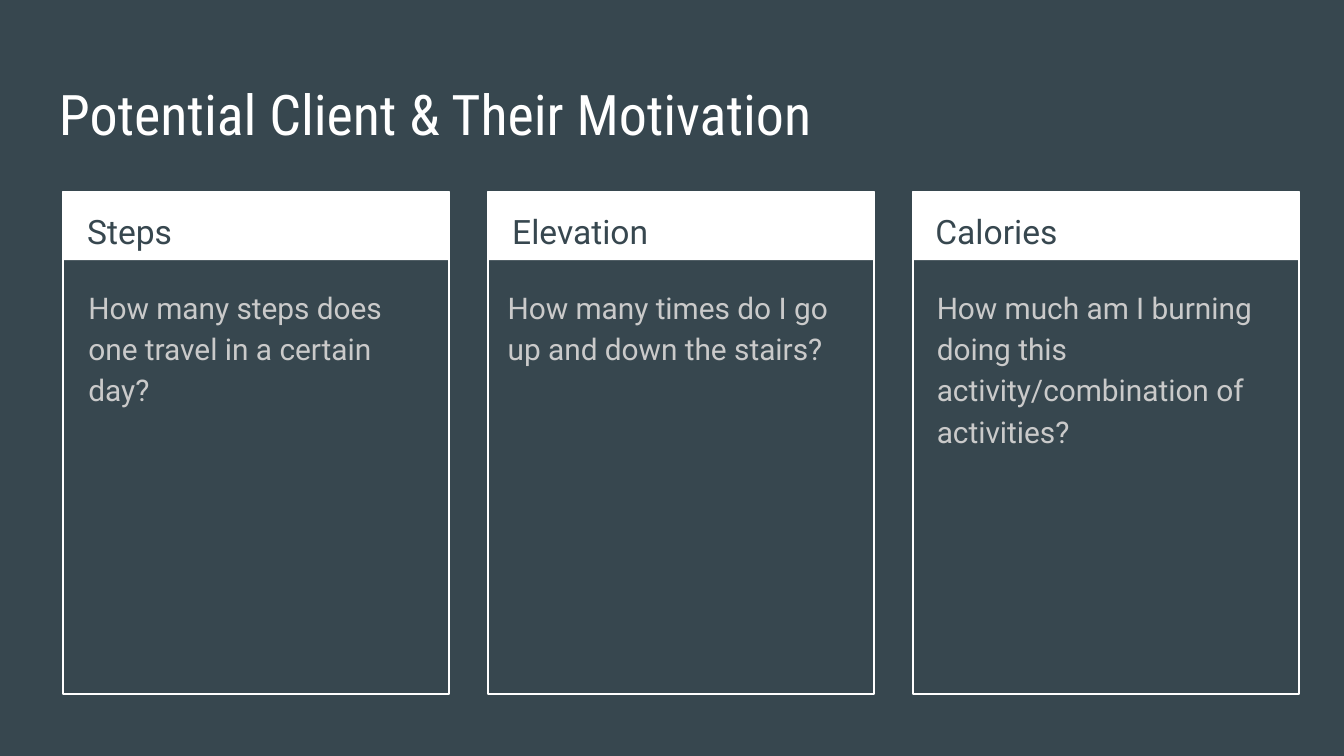
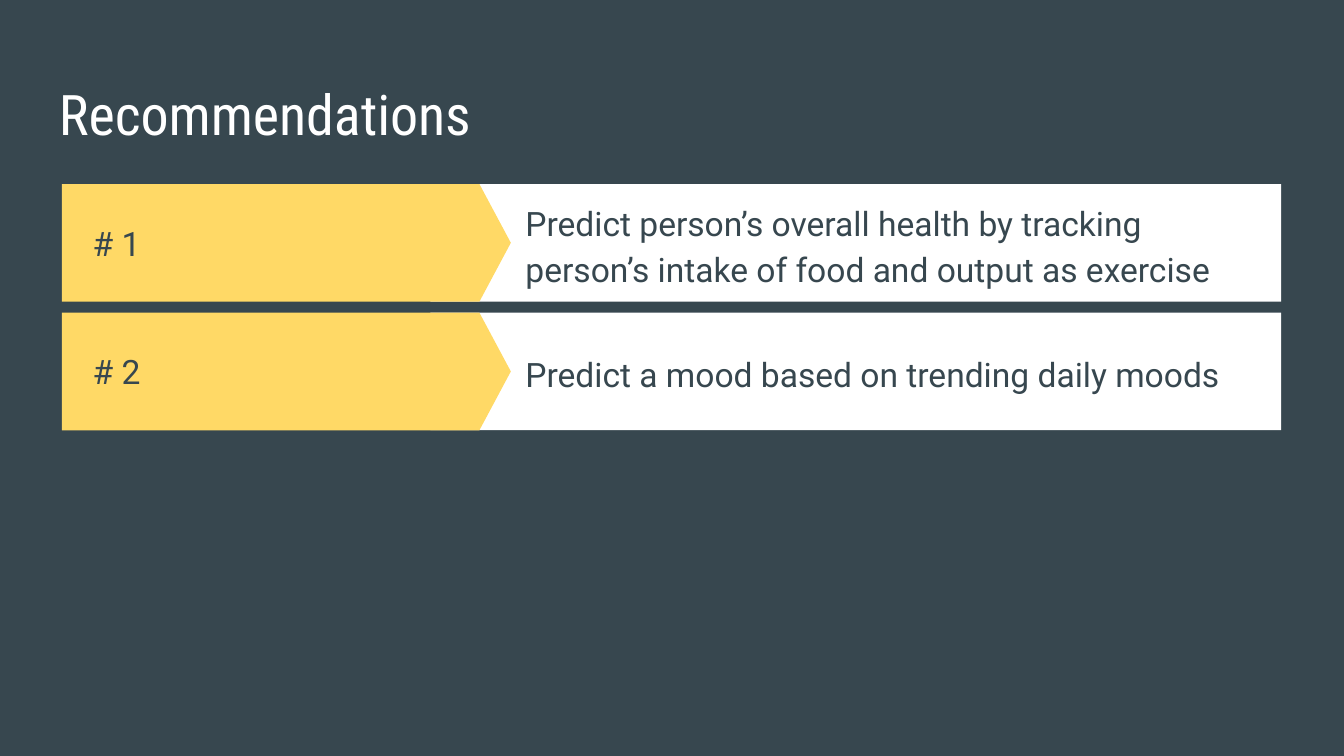
from dataclasses import dataclass

from pptx import Presentation
from pptx.dml.color import RGBColor as RGB
from pptx.enum.shapes import MSO_SHAPE as SHAPE
from pptx.enum.text import MSO_ANCHOR as ANCHOR
from pptx.util import Pt


@dataclass(frozen=True)
class Theme:
    """Colours, fonts and type sizes of the deck."""
    slate: RGB = RGB(0x37, 0x47, 0x4F)
    white: RGB = RGB(0xFF, 0xFF, 0xFF)
    grey: RGB = RGB(0xCA, 0xCA, 0xCA)
    yellow: RGB = RGB(0xFF, 0xD9, 0x66)
    title_font: str = "Roboto Condensed"
    body_font: str = "Roboto"
    title_size: float = 30
    label_size: float = 18
    body_size: float = 16
    inset: float = 7.2


T = Theme()


def add_text(slide, box, text, size, color, font=T.body_font,
             anchor=ANCHOR.TOP, line_spacing=None, after=0):
    """Place one paragraph in a wrapping text box."""
    tf = slide.shapes.add_textbox(*map(Pt, box)).text_frame
    tf.word_wrap = True
    tf.vertical_anchor = anchor
    tf.margin_left = tf.margin_right = Pt(T.inset)
    tf.margin_top = tf.margin_bottom = Pt(T.inset)
    tf.text = text
    p = tf.paragraphs[0]
    p.line_spacing = line_spacing
    p.space_after = Pt(after)
    f = p.runs[0].font
    f.name, f.size, f.color.rgb = font, Pt(size), color


def add_block(shapes, kind, box, fill=None, line=None):
    """Place a flat preset shape, filled or outlined."""
    sp = shapes.add_shape(kind, *map(Pt, box))
    sp.shadow.inherit = False
    if fill is None:
        sp.fill.background()
    else:
        sp.fill.solid()
        sp.fill.fore_color.rgb = fill
    if line is None:
        sp.line.fill.background()
    else:
        sp.line.color.rgb = line
        sp.line.width = Pt(0.75)
    return sp


def add_slide(prs, title):
    """Add a slate slide with its title."""
    slide = prs.slides.add_slide(prs.slide_layouts[6])
    slide.background.fill.solid()
    slide.background.fill.fore_color.rgb = T.slate
    add_text(slide, (24.5, 35.3, 671, 45.4), title,
             T.title_size, T.white, T.title_font)
    return slide


def add_card(slide, box, heading, body, heading_dx, body_dx):
    """Draw an outlined card with a white heading band and body text."""
    x, y, w, h = box
    band_h = 36.7
    shapes = slide.shapes.add_group_shape().shapes
    add_block(shapes, SHAPE.RECTANGLE, (x, y, w, band_h), fill=T.white)
    add_block(shapes, SHAPE.RECTANGLE, box, line=T.white)
    add_text(slide, (x + heading_dx, y, w - 10, 36), heading,
             T.label_size, T.slate, line_spacing=1.15)
    add_text(slide, (x + body_dx, y + 42.5, w - 11.5, h - 49), body,
             T.body_size, T.grey, line_spacing=1.15, after=16)


def add_recommendation(slide, box, label, text):
    """Draw a white row led by a yellow arrow tag."""
    x, y, w, h = box
    tag_w, bar_dx = 240.5, 197.3
    shapes = slide.shapes.add_group_shape().shapes
    add_block(shapes, SHAPE.RECTANGLE, (x + bar_dx, y, w - bar_dx, h),
              fill=T.white)
    tag = add_block(shapes, SHAPE.PENTAGON, (x, y, tag_w, h), fill=T.yellow)
    tag.adjustments[0] = 0.267
    add_text(slide, (x + 9.4, y, 191, h), label,
             T.label_size, T.slate, anchor=ANCHOR.MIDDLE)
    add_text(slide, (x + tag_w + 0.7, y, 402.5, h), text,
             T.label_size, T.slate, anchor=ANCHOR.MIDDLE, line_spacing=1.15)


def motivation_slide(prs):
    """Three cards side by side."""
    slide = add_slide(prs, "Potential Client & Their Motivation")
    cards = [
        ("Steps", "How many steps does one travel in a certain day?", 5.8, 6.5),
        ("Elevation", "How many times do I go up and down the stairs?",
         5.8, 3.4),
        ("Calories", "How much am I burning doing this "
         "activity/combination of activities?", 4.8, 5.6),
    ]
    left, pitch = 33.8, 227.7
    for i, card in enumerate(cards):
        add_card(slide, (left + i * pitch, 102.7, 206.8, 269.2), *card)


def recommendations_slide(prs):
    """Numbered recommendations stacked in rows."""
    slide = add_slide(prs, "Recommendations")
    texts = [
        "Predict person’s overall health by tracking person’s intake "
        "of food and output as exercise",
        "Predict a mood based on trending daily moods",
    ]
    top, pitch = 98.6, 68.9
    for i, text in enumerate(texts):
        add_recommendation(slide, (33.2, top + i * pitch, 653.2, 63),
                           f"# {i + 1}", text)


prs = Presentation()
prs.slide_width, prs.slide_height = Pt(720), Pt(405)
motivation_slide(prs)
recommendations_slide(prs)
prs.save("out.pptx")
